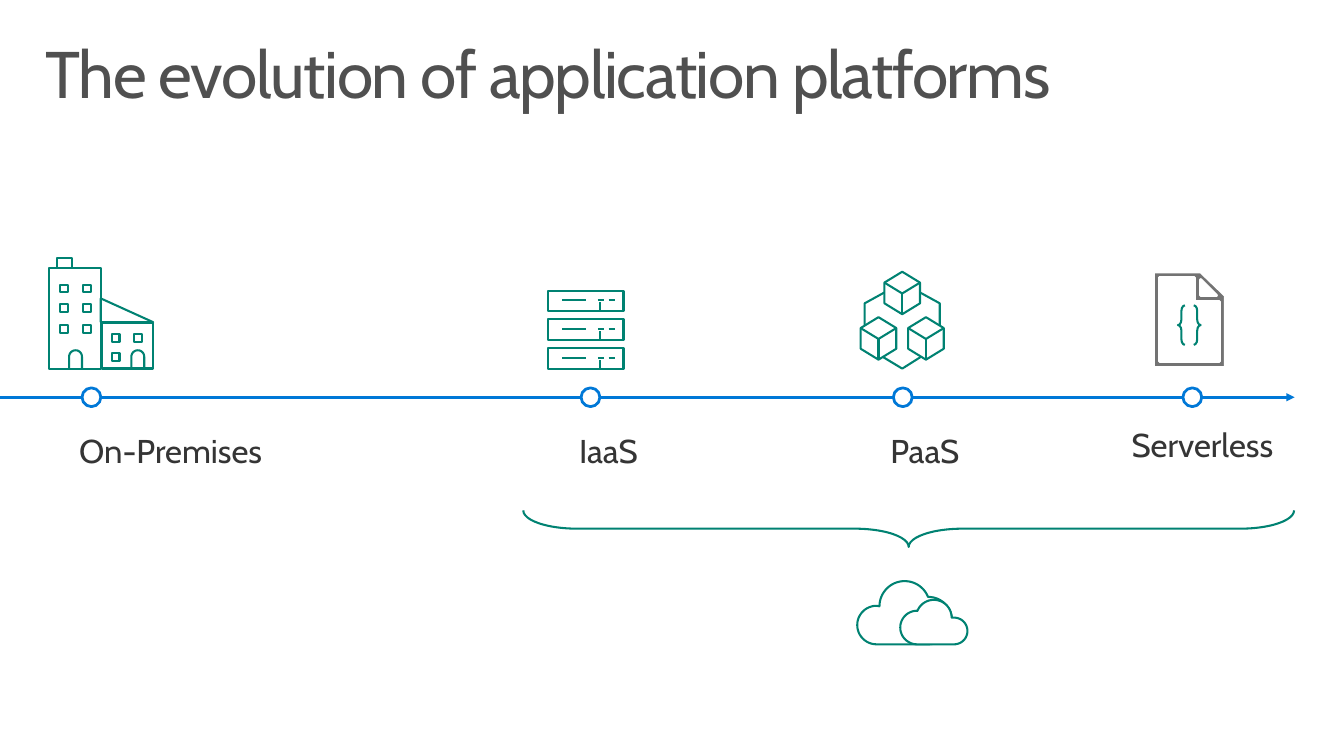
from itertools import product
from math import cos, radians, sin

from lxml.etree import SubElement
from pptx import Presentation
from pptx.dml.color import RGBColor
from pptx.enum.shapes import MSO_CONNECTOR as Connector, MSO_SHAPE as Preset
from pptx.enum.text import MSO_ANCHOR as Anchor, MSO_AUTO_SIZE as AutoSize, PP_ALIGN as Align
from pptx.oxml.ns import qn
from pptx.util import Inches, Pt

WIDTH, HEIGHT = 13.6, 7.65
TEAL, BLUE, GRAY, WHITE = "008272", "0078D7", "737373", "FFFFFF"
TITLE_COLOR, LABEL_COLOR = "505050", "353535"
FONT = "Cabin"

TITLE = "The evolution of application platforms"
STAGES = [
    {"name": "On-Premises", "marker": 0.83, "label": (0.6, 4.24, 2.33), "wrap": False},
    {"name": "IaaS", "marker": 5.88, "label": (5.66, 4.24, 1.03), "wrap": False},
    {"name": "PaaS", "marker": 9.04, "label": (8.81, 4.24, 1.13), "wrap": False},
    {"name": "Serverless", "marker": 11.97, "label": (11.25, 4.18, WIDTH - 11.25), "wrap": True},
]
TIMELINE_Y, TIMELINE_END, MARKER_SIZE = 4.02, 13.1, 0.19
GROUND = 3.73

WALLS = [(0.5, 2.71, 0.52, 1.02), (0.58, 2.61, 0.15, 0.1), (1.03, 3.27, 0.52, 0.46)]
WINDOWS = [*product((0.61, 0.84), (2.88, 3.08, 3.29)), (1.13, 3.38), (1.36, 3.38), (1.13, 3.57)]
WINDOW_SIZE = 0.08
DOOR_CENTERS = (0.765, 1.395)

SERVER_LEFT, SERVER_TOP, SERVER_PITCH = 5.55, 2.94, 0.29
SERVER_DASHES = [(0.14, 0.38), (0.5, 0.56), (0.61, 0.67)]

CUBES = [(9.37, 3.21), (8.89, 3.21), (9.13, 2.75)]
CUBE_LINKS = [
    [(9.32, 3.61), (9.13, 3.73), (8.93, 3.61)],
    [(9.31, 2.96), (9.51, 3.07), (9.51, 3.29)],
    [(8.75, 3.29), (8.75, 3.07), (8.95, 2.96)],
]

BACK_CLOUD = [(8.87, 6.325, 0.195, 90, 270), (9.155, 6.135, 0.255, 180, 338), (9.395, 6.28, 0.24, 270, 450)]
FRONT_CLOUD = [(9.28, 6.35, 0.17, 90, 270), (9.45, 6.25, 0.18, 202, 360), (9.655, 6.385, 0.135, 270, 450)]

PAGE = [
    [(12.4, 2.99), (12.15, 2.75), (11.67, 2.75), (11.67, 3.72), (12.4, 3.72)],
    [(12.15, 2.83), (12.31, 2.99), (12.15, 2.99)],
    [(11.73, 3.66), (11.73, 2.81), (12.09, 2.81), (12.09, 3.05), (12.34, 3.05), (12.34, 3.66)],
]


def color(value):
    return RGBColor.from_string(value)


def paint(shape, fill=None, line=TEAL, weight=1.5):
    shape.shadow.inherit = False
    if fill:
        shape.fill.solid()
        shape.fill.fore_color.rgb = color(fill)
    else:
        shape.fill.background()
    shape.line.color.rgb = color(line)
    shape.line.width = Pt(weight)
    return shape


def add_preset(canvas, preset, box, adjustment=None, **look):
    shape = paint(canvas.add_shape(preset, *map(Inches, box)), **look)
    if adjustment is not None:
        shape.adjustments[0] = adjustment
    return shape


def add_line(canvas, start, end, line=TEAL, weight=1.5, arrow=False):
    connector = canvas.add_connector(Connector.STRAIGHT, *map(Inches, (*start, *end)))
    connector.line.color.rgb = color(line)
    connector.line.width = Pt(weight)
    properties = connector._element.spPr
    if arrow:
        SubElement(properties.find(qn("a:ln")), qn("a:tailEnd"), type="triangle")
    SubElement(properties, qn("a:effectLst"))


def add_outline(canvas, contours, close=True, **look):
    scaled = [[(Inches(x), Inches(y)) for x, y in contour] for contour in contours]
    builder = canvas.build_freeform(*scaled[0][0], scale=1.0)
    for index, (first, *rest) in enumerate(scaled):
        if index:
            builder.move_to(*first)
        builder.add_line_segments(rest, close=close)
    return paint(builder.convert_to_shape(), **look)


def arc(center_x, center_y, radius, start, end, steps=24):
    angles = [radians(start + (end - start) * step / steps) for step in range(steps + 1)]
    return [(center_x + radius * cos(angle), center_y + radius * sin(angle)) for angle in angles]


def write_text(frame, text, size, text_color, insets, space_after=0, spacing=None, wrap=True,
               auto_size=AutoSize.NONE):
    frame.word_wrap = wrap
    frame.auto_size = auto_size
    frame.vertical_anchor = Anchor.TOP
    frame.margin_left = frame.margin_right = Inches(insets[0])
    frame.margin_top = frame.margin_bottom = Inches(insets[1])
    paragraph = frame.paragraphs[0]
    paragraph.alignment = Align.LEFT
    paragraph.line_spacing = 0.9
    paragraph.space_before = Pt(0)
    paragraph.space_after = Pt(space_after)
    run = paragraph.add_run()
    run.text = text
    run.font.name = FONT
    run.font.size = Pt(size)
    run.font.color.rgb = color(text_color)
    if spacing is not None:
        run.font._element.set("spc", str(spacing * 100))


def add_title(slide):
    title = slide.shapes.title
    title.left, title.top, title.width, title.height = map(Inches, (0.3, 0.32, 13, 1))
    write_text(title.text_frame, TITLE, 48, TITLE_COLOR, (0.16, 0.1), spacing=-1)


def add_timeline(canvas):
    add_line(canvas, (0, TIMELINE_Y), (TIMELINE_END, TIMELINE_Y), line=BLUE, weight=2, arrow=True)
    for stage in STAGES:
        marker = (stage["marker"], TIMELINE_Y - MARKER_SIZE / 2, MARKER_SIZE, MARKER_SIZE)
        add_preset(canvas, Preset.OVAL, marker, fill=WHITE, line=BLUE, weight=2)
        label = canvas.add_textbox(*map(Inches, (*stage["label"], 0.69)))
        write_text(label.text_frame, stage["name"], 24, LABEL_COLOR, (0.2, 0.16), space_after=6,
                   wrap=stage["wrap"], auto_size=AutoSize.SHAPE_TO_FIT_TEXT)


def add_buildings(canvas):
    for wall in WALLS:
        add_preset(canvas, Preset.RECTANGLE, wall)
    for left, top in WINDOWS:
        add_preset(canvas, Preset.RECTANGLE, (left, top, WINDOW_SIZE, WINDOW_SIZE))
    for center in DOOR_CENTERS:
        arch = arc(center, 3.61, 0.065, 180, 360)
        door = [(arch[0][0], GROUND), *arch, (arch[-1][0], GROUND)]
        add_outline(canvas, [door], close=False)
    add_preset(canvas, Preset.ISOSCELES_TRIANGLE, (1.02, 3.02, 0.53, 0.24), adjustment=0)


def add_servers(canvas):
    for row in range(3):
        top = SERVER_TOP + row * SERVER_PITCH
        add_preset(canvas, Preset.RECTANGLE, (SERVER_LEFT, top, 0.76, 0.21))
        for start, end in SERVER_DASHES:
            add_line(canvas, (SERVER_LEFT + start, top + 0.1), (SERVER_LEFT + end, top + 0.1))
        add_line(canvas, (SERVER_LEFT + 0.52, top + 0.2), (SERVER_LEFT + 0.52, top + 0.12))


def add_cubes(canvas):
    for center, top in CUBES:
        left, right, shoulder, foot = center - 0.18, center + 0.18, top + 0.11, top + 0.32
        middle, bottom = (center, top + 0.22), (center, top + 0.43)
        add_outline(canvas, [[(left, shoulder), (center, top), (right, shoulder),
                              (right, foot), bottom, (left, foot)]])
        add_outline(canvas, [[(right, shoulder), middle, (left, shoulder)]], close=False)
        add_line(canvas, middle, bottom)
    for link in CUBE_LINKS:
        add_outline(canvas, [link], close=False)


def add_code_page(canvas):
    add_outline(canvas, PAGE, fill=GRAY, line=WHITE, weight=2.25)
    for preset, left in ((Preset.LEFT_BRACE, 11.92), (Preset.RIGHT_BRACE, 12.08)):
        add_preset(canvas, preset, (left, 3.09, 0.07, 0.4), adjustment=0.8)


def add_cloud_span(canvas):
    brace = add_preset(canvas, Preset.RIGHT_BRACE, (9.01, 1.45, 0.37, 7.8), adjustment=1.47)
    brace.rotation = 90
    for lobes, fill in ((BACK_CLOUD, None), (FRONT_CLOUD, WHITE)):
        add_outline(canvas, [[point for lobe in lobes for point in arc(*lobe)]], fill=fill)


def main():
    presentation = Presentation()
    presentation.slide_width, presentation.slide_height = Inches(WIDTH), Inches(HEIGHT)
    slide = presentation.slides.add_slide(presentation.slide_layouts[5])
    add_title(slide)
    add_timeline(slide.shapes)
    for add_icon in (add_buildings, add_servers, add_cubes, add_code_page):
        add_icon(slide.shapes.add_group_shape().shapes)
    add_cloud_span(slide.shapes)
    presentation.save("out.pptx")


if __name__ == "__main__":
    main()
